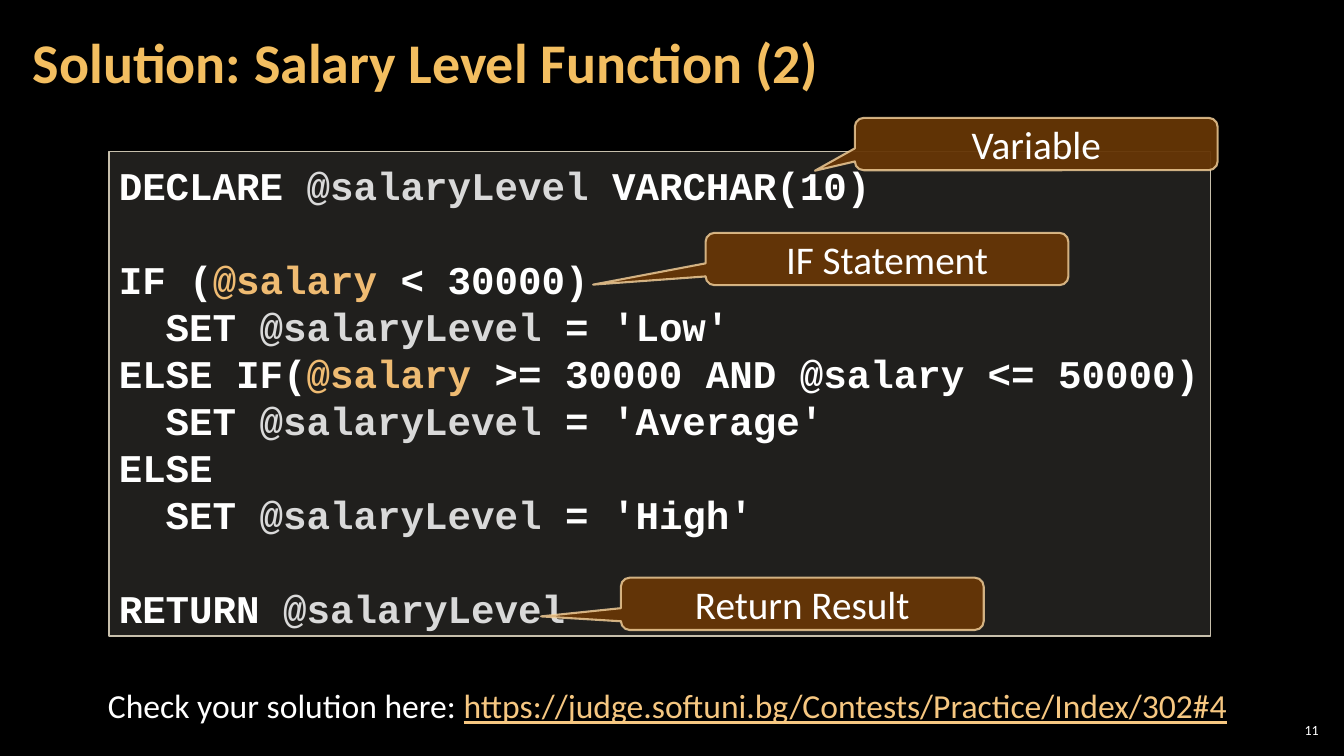
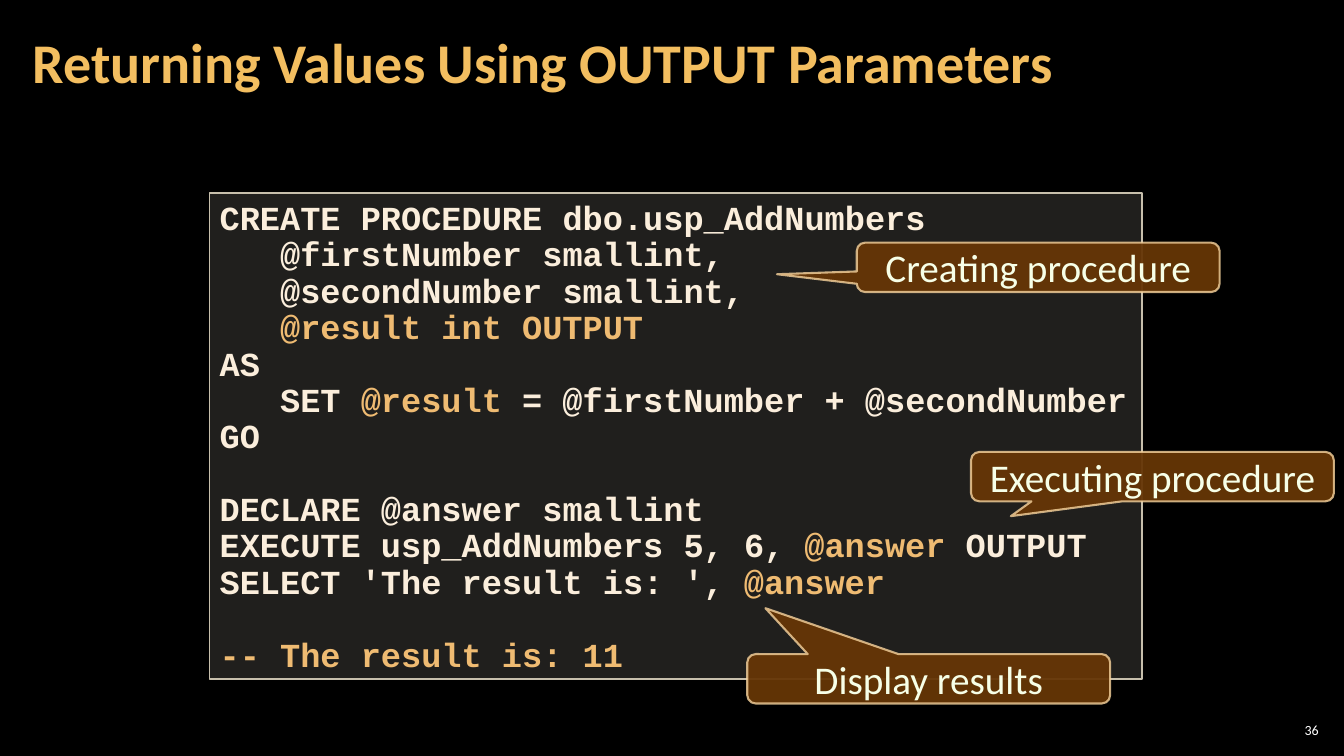
from dataclasses import dataclass
from typing import NamedTuple

from lxml.etree import SubElement
from pptx import Presentation
from pptx.dml.color import RGBColor
from pptx.enum.shapes import MSO_SHAPE
from pptx.enum.text import MSO_ANCHOR, PP_ALIGN
from pptx.oxml.ns import qn
from pptx.util import Pt

COLORS = {
    "background": "000000",
    "title": "F3BE60",
    "white": "FFFFFF",
    "cream": "FBEEDC",
    "variable": "D9D9D9",
    "highlight": "EFBB72",
    "link": "F6C781",
    "panel": "D9D5C7",
    "panel_edge": "C7BFAC",
    "callout": "663606",
    "callout_edge": "F8D49E",
    "callout_pale": "F7FFE7",
}

# Font formats by text role
FORMATS = {
    "title": {"name": "Calibri", "size": Pt(40), "bold": True},
    "number": {"name": "Calibri", "size": Pt(10)},
    "note": {"name": "Calibri", "size": Pt(24)},
    "link": {"name": "Calibri", "size": Pt(24), "underline": True},
    "callout": {"name": "Calibri", "size": Pt(28)},
    "code_large": {"name": "Courier New", "size": Pt(28), "bold": True},
    "code_small": {"name": "Courier New", "size": Pt(24), "bold": True},
}


class Box(NamedTuple):
    left: float
    top: float
    width: float
    height: float


class Run(NamedTuple):
    text: str
    color: str


@dataclass(frozen=True)
class CodeLine:
    runs: tuple
    gap_before: bool = False


@dataclass(frozen=True)
class CodePanel:
    box: Box
    style: str
    pitch: float
    top_inset: float
    lines: list


@dataclass(frozen=True)
class Callout:
    text: str
    left: float
    top: float
    tip: tuple


def line(*parts, base: str = "white", gap: bool = False) -> CodeLine:
    """Plain strings take the base colour; runs keep their own."""
    runs = tuple(p if isinstance(p, Run) else Run(p, base) for p in parts)
    return CodeLine(runs, gap)


def variable(text: str) -> Run:
    return Run(text, "variable")


def highlight(text: str) -> Run:
    return Run(text, "highlight")


def rgb(role: str) -> RGBColor:
    return RGBColor.from_string(COLORS[role])


def apply(target, values: dict) -> None:
    for name, value in values.items():
        setattr(target, name, value)


def points(box: Box) -> list:
    return [Pt(value) for value in box]


def add_run(paragraph, run: Run, style: str) -> None:
    piece = paragraph.add_run()
    piece.text = run.text
    apply(piece.font, FORMATS[style])
    piece.font.color.rgb = rgb(run.color)


def set_alpha(properties, percent: int) -> None:
    color = properties.find(qn("a:solidFill")).find(qn("a:srgbClr"))
    SubElement(color, qn("a:alpha")).set("val", str(percent * 1000))


def paint(shape, fill: str, fill_alpha: int, edge: str, edge_width: float,
          edge_alpha: int = 100) -> None:
    shape.shadow.inherit = False
    shape.fill.solid()
    shape.fill.fore_color.rgb = rgb(fill)
    set_alpha(shape.element.spPr, fill_alpha)
    shape.line.color.rgb = rgb(edge)
    shape.line.width = Pt(edge_width)
    if edge_alpha < 100:
        set_alpha(shape.element.spPr.find(qn("a:ln")), edge_alpha)


def add_text(slide, box: Box, runs: list, style: str, align=PP_ALIGN.LEFT,
             inset: tuple = (7.2, 3.6), spacing: float = 1.0,
             anchor=MSO_ANCHOR.MIDDLE):
    frame = slide.shapes.add_textbox(*points(box)).text_frame
    side, edge = map(Pt, inset)
    apply(frame, {"word_wrap": True, "vertical_anchor": anchor,
                  "margin_left": side, "margin_right": side,
                  "margin_top": edge, "margin_bottom": edge})
    paragraph = frame.paragraphs[0]
    apply(paragraph, {"alignment": align, "line_spacing": spacing})
    for run in runs:
        add_run(paragraph, run, style)
    return paragraph


def add_code(slide, panel: CodePanel) -> None:
    shape = slide.shapes.add_shape(MSO_SHAPE.RECTANGLE, *points(panel.box))
    paint(shape, "panel", 15, "panel_edge", 1)
    frame = shape.text_frame
    apply(frame, {"word_wrap": True, "vertical_anchor": MSO_ANCHOR.TOP,
                  "margin_top": Pt(panel.top_inset)})
    for index, code in enumerate(panel.lines):
        paragraph = frame.add_paragraph() if index else frame.paragraphs[0]
        apply(paragraph, {"alignment": PP_ALIGN.LEFT,
                          "line_spacing": Pt(panel.pitch)})
        if code.gap_before:
            paragraph.space_before = Pt(panel.pitch)
        for run in code.runs:
            add_run(paragraph, run, panel.style)


def add_callout(slide, callout: Callout, height: float, color: str) -> None:
    box = Box(callout.left, callout.top, 259.2, height)
    shape = slide.shapes.add_shape(MSO_SHAPE.ROUNDED_RECTANGULAR_CALLOUT,
                                   *points(box))
    for index, value in enumerate((*callout.tip, 0.17)):
        shape.adjustments[index] = value
    paint(shape, "callout", 95, "callout_edge", 1.5, 80)
    frame = shape.text_frame
    apply(frame, {"word_wrap": True, "vertical_anchor": MSO_ANCHOR.MIDDLE})
    frame.paragraphs[0].alignment = PP_ALIGN.CENTER
    add_run(frame.paragraphs[0], Run(callout.text, color), "callout")


def add_slide(deck, title: str, number: int):
    """Shared background, title and slide number."""
    slide = deck.slides.add_slide(deck.slide_layouts[6])
    slide.background.fill.solid()
    slide.background.fill.fore_color.rgb = rgb("background")
    add_text(slide, Box(15, 3, 754, 87), [Run(title, "title")], "title",
             inset=(8.5, 2.8), spacing=0.9)
    add_text(slide, Box(911, 514, 33.8, 15), [Run(str(number), "white")],
             "number", PP_ALIGN.RIGHT, inset=(2.8, 2.8))
    return slide


def build_salary_level(deck) -> None:
    slide = add_slide(deck, "Solution: Salary Level Function (2)", 11)
    add_code(slide, CodePanel(Box(77.8, 108, 787, 346.3), "code_large", 33.6, 7.2, [
        line("DECLARE ", variable("@salaryLevel "), "VARCHAR(10)"),
        line("IF (", highlight("@salary "), "< 30000)", gap=True),
        line("  SET ", variable("@salaryLevel "), "= 'Low'"),
        line("ELSE IF(", highlight("@salary "), ">= 30000 AND @salary <= 50000)"),
        line("  SET ", variable("@salaryLevel "), "= 'Average'"),
        line("ELSE"),
        line("  SET ", variable("@salaryLevel"), " = 'High'"),
        line("RETURN ", variable("@salaryLevel"), gap=True),
    ]))

    # Link to the online checker
    check = add_text(slide, Box(59.8, 486, 833.8, 36),
                     [Run("Check your solution here: ", "white")],
                     "note", PP_ALIGN.CENTER, anchor=MSO_ANCHOR.TOP)
    add_run(check, Run("https://judge.softuni.bg/Contests/Practice/Index/302#4",
                       "link"), "link")

    for callout in (
        Callout("Variable", 610.6, 84.2, (-0.61, 0.51)),
        Callout("IF Statement", 504, 166.3, (-0.81, 0.49)),
        Callout("Return Result", 443.5, 412.6, (-0.72, 0.24)),
    ):
        add_callout(slide, callout, 37.4, "white")


def build_output_parameters(deck) -> None:
    slide = add_slide(deck, "Returning Values Using OUTPUT Parameters", 36)

    def cream(*parts, gap: bool = False) -> CodeLine:
        return line(*parts, base="cream", gap=gap)

    add_code(slide, CodePanel(Box(149.8, 138, 666, 347), "code_small", 26, 5.4, [
        cream("CREATE PROCEDURE dbo.usp_AddNumbers"),
        cream("   @firstNumber smallint,"),
        cream("   @secondNumber smallint,"),
        cream("   ", highlight("@result int OUTPUT")),
        cream("AS"),
        cream("   SET ", highlight("@result "), "= @firstNumber + @secondNumber"),
        cream("GO"),
        cream("DECLARE @answer smallint", gap=True),
        cream("EXECUTE usp_AddNumbers 5, 6, ", highlight("@answer "), "OUTPUT"),
        cream("SELECT 'The result is: ', ", highlight("@answer")),
        cream(highlight("-- The result is: 11"), gap=True),
    ]))

    for callout in (
        Callout("Creating procedure", 612, 173.3, (-0.72, 0.14)),
        Callout("Executing procedure", 693.6, 322.8, (-0.39, 0.8)),
        Callout("Display results", 533.8, 467.2, (-0.45, -1.43)),
    ):
        add_callout(slide, callout, 35.3, "callout_pale")


def main() -> None:
    deck = Presentation()
    deck.slide_width, deck.slide_height = Pt(960), Pt(540)
    build_salary_level(deck)
    build_output_parameters(deck)
    deck.save("out.pptx")


if __name__ == "__main__":
    main()
